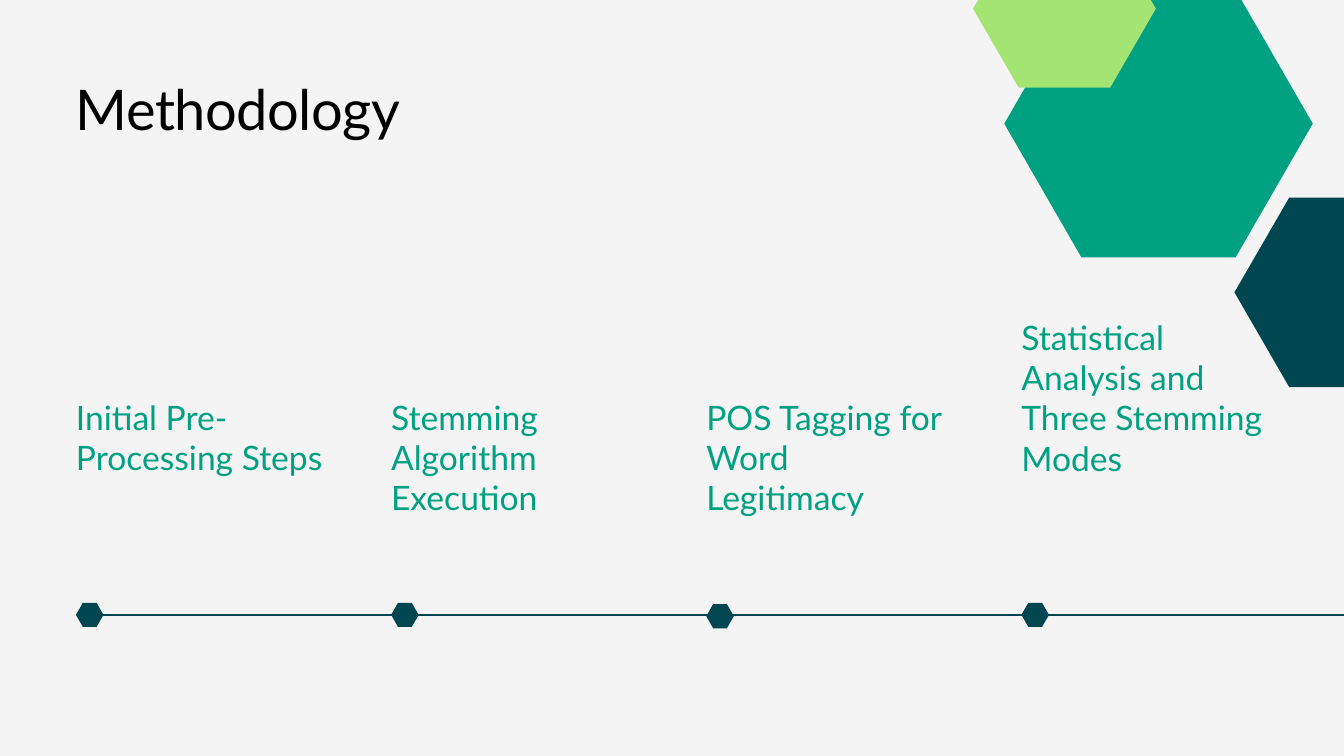
import pptx
import pptx.util
import pptx.dml.color
import pptx.enum.shapes
import pptx.oxml
import pptx.oxml.ns

Inches, Pt = pptx.util.Inches, pptx.util.Pt
RGBColor = pptx.dml.color.RGBColor

BACKGROUND = RGBColor(0xF4, 0xF4, 0xF4)
NAVY = RGBColor(0x00, 0x46, 0x51)
GREEN = RGBColor(0x00, 0xA1, 0x81)
LIME = RGBColor(0xA4, 0xE4, 0x73)
BLACK = RGBColor(0, 0, 0)
FONT = "Lato"

WIDTH, HEIGHT = 20, 11.25
TITLE = "Methodology"
# label, top, height, marker offset from the timeline
STEPS = [
    ("Initial Pre-Processing Steps", 5.9, 1.79, 0),
    ("Stemming Algorithm Execution", 5.9, 1.79, 0),
    ("POS Tagging for Word Legitimacy", 5.9, 1.79, 0.02),
    ("Statistical Analysis and Three Stemming Modes", 4.71, 2.98, 0),
]
# centre x, centre y, width, height, colour
DECORATIONS = [
    (20, 4.35, 3.26, 2.82, NAVY),
    (17.24, 1.84, 4.59, 3.98, GREEN),
    (15.84, 0.13, 2.72, 2.35, LIME),
]
MARGIN, COLUMN_STEP, LABEL_WIDTH = 1.13, 4.69, 3.68
TIMELINE_Y = 9.15
MARKER_WIDTH, MARKER_HEIGHT = 0.41, 0.36


def add_text(slide, text, box, size, colour, tracking=0):
    text_box = slide.shapes.add_textbox(*map(Inches, box))
    frame = text_box.text_frame
    frame.word_wrap = True
    frame.margin_left = frame.margin_right = 0
    frame.margin_top = frame.margin_bottom = 0
    paragraph = frame.paragraphs[0]
    paragraph.line_spacing = Pt(size * 1.2)
    run = paragraph.add_run()
    run.text = text
    run.font.name = FONT
    run.font.size = Pt(size)
    run.font.color.rgb = colour
    if tracking:
        run._r.get_or_add_rPr().set("spc", str(round(tracking * 100)))


def add_hexagon(slide, centre_x, centre_y, width, height, colour):
    """Add a hexagon whose slanted sides each span a quarter of its width."""
    hexagon = slide.shapes.add_shape(
        pptx.enum.shapes.MSO_SHAPE.HEXAGON,
        Inches(centre_x - width / 2), Inches(centre_y - height / 2),
        Inches(width), Inches(height))
    hexagon.adjustments[0] = width / 4 / height
    hexagon.shadow.inherit = False
    hexagon.fill.solid()
    hexagon.fill.fore_color.rgb = colour
    hexagon.line.fill.background()


def add_timeline(slide):
    line = slide.shapes.add_connector(
        pptx.enum.shapes.MSO_CONNECTOR.STRAIGHT,
        Inches(MARGIN + MARKER_WIDTH / 2), Inches(TIMELINE_Y),
        Inches(WIDTH), Inches(TIMELINE_Y))
    line.line.color.rgb = NAVY
    line.line.width = Pt(1.5)
    line._element.spPr.append(pptx.oxml.parse_xml(
        f"<a:effectLst {pptx.oxml.ns.nsdecls('a')}/>"))


def main():
    presentation = pptx.Presentation()
    presentation.slide_width = Inches(WIDTH)
    presentation.slide_height = Inches(HEIGHT)
    slide = presentation.slides.add_slide(presentation.slide_layouts[6])
    slide.background.fill.solid()
    slide.background.fill.fore_color.rgb = BACKGROUND

    add_timeline(slide)
    add_text(slide, TITLE, (MARGIN, 1.11, 6.23, 1.01), 60, BLACK, tracking=-0.6)
    for column, (label, top, height, offset) in enumerate(STEPS):
        left = MARGIN + column * COLUMN_STEP
        add_text(slide, label, (left, top, LABEL_WIDTH, height), 36, GREEN)
        add_hexagon(slide, left + MARKER_WIDTH / 2, TIMELINE_Y + offset,
                    MARKER_WIDTH, MARKER_HEIGHT, NAVY)
    for decoration in DECORATIONS:
        add_hexagon(slide, *decoration)

    presentation.save("out.pptx")


if __name__ == "__main__":
    main()
